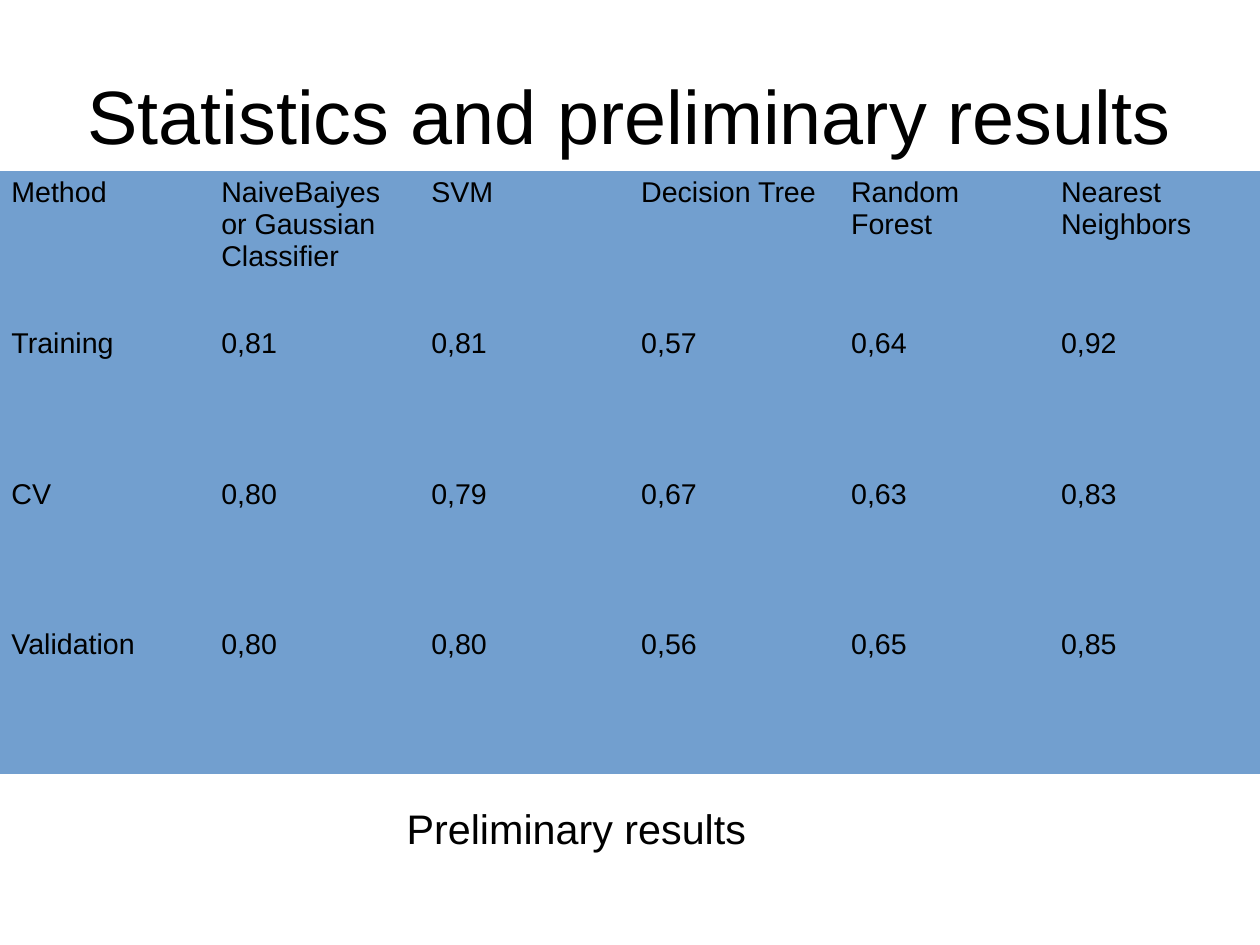
from pptx import Presentation
from pptx.dml.color import RGBColor
from pptx.enum import text
from pptx.util import Pt

TITLE = "Statistics and preliminary results"
CAPTION = "Preliminary results"
RESULTS = [
    ("Method", "NaiveBaiyes or Gaussian Classifier", "SVM", "Decision Tree",
     "Random Forest", "Nearest Neighbors"),
    ("Training", "0,81", "0,81", "0,57", "0,64", "0,92"),
    ("CV", "0,80", "0,79", "0,67", "0,63", "0,83"),
    ("Validation", "0,80", "0,80", "0,56", "0,65", "0,85"),
]
BLACK = RGBColor(0x00, 0x00, 0x00)
BLUE = RGBColor(0x72, 0x9F, 0xCF)
NO_STYLE_NO_GRID = "{2D5ABB26-0587-4C30-8999-92F81FD0307C}"
SLIDE_WIDTH, SLIDE_HEIGHT = 793.7, 595.28
TABLE_TOP, COLUMN_WIDTH, ROW_HEIGHT = 107.8, 132.25, 94.9


def write(frame, content, size, alignment=text.PP_ALIGN.LEFT):
    frame.text = content
    paragraph = frame.paragraphs[0]
    paragraph.alignment = alignment
    paragraph.font.name = "Arial"
    paragraph.font.size = Pt(size)
    paragraph.font.color.rgb = BLACK


def add_title(slide):
    title = slide.shapes.title
    title.left, title.top, title.width, title.height = map(Pt, (39.6, 22.6, 714.2, 98.2))
    frame = title.text_frame
    frame.margin_left = frame.margin_top = frame.margin_right = frame.margin_bottom = 0
    frame.vertical_anchor = text.MSO_ANCHOR.MIDDLE
    frame.auto_size = text.MSO_AUTO_SIZE.NONE
    write(frame, TITLE, 47.6, text.PP_ALIGN.CENTER)


def add_caption(slide):
    caption = slide.shapes.add_textbox(Pt(249.1), Pt(502.3), Pt(230), Pt(36))
    caption.text_frame.word_wrap = False
    caption.text_frame.auto_size = text.MSO_AUTO_SIZE.SHAPE_TO_FIT_TEXT
    write(caption.text_frame, CAPTION, 26)


def add_results(slide):
    rows, columns = len(RESULTS), len(RESULTS[0])
    shape = slide.shapes.add_table(rows, columns, 0, Pt(TABLE_TOP),
                                   Pt(columns * COLUMN_WIDTH), Pt(rows * ROW_HEIGHT))
    table = shape.table
    table.first_row = table.horz_banding = False
    table._tbl.tblPr.find("{*}tableStyleId").text = NO_STYLE_NO_GRID
    for row, values in enumerate(RESULTS):
        for column, value in enumerate(values):
            cell = table.cell(row, column)
            cell.fill.solid()
            cell.fill.fore_color.rgb = BLUE
            write(cell.text_frame, value, 18)


def main():
    presentation = Presentation()
    presentation.slide_width = Pt(SLIDE_WIDTH)
    presentation.slide_height = Pt(SLIDE_HEIGHT)
    slide = presentation.slides.add_slide(presentation.slide_layouts[5])
    add_title(slide)
    add_caption(slide)
    add_results(slide)
    presentation.save("out.pptx")


if __name__ == "__main__":
    main()
